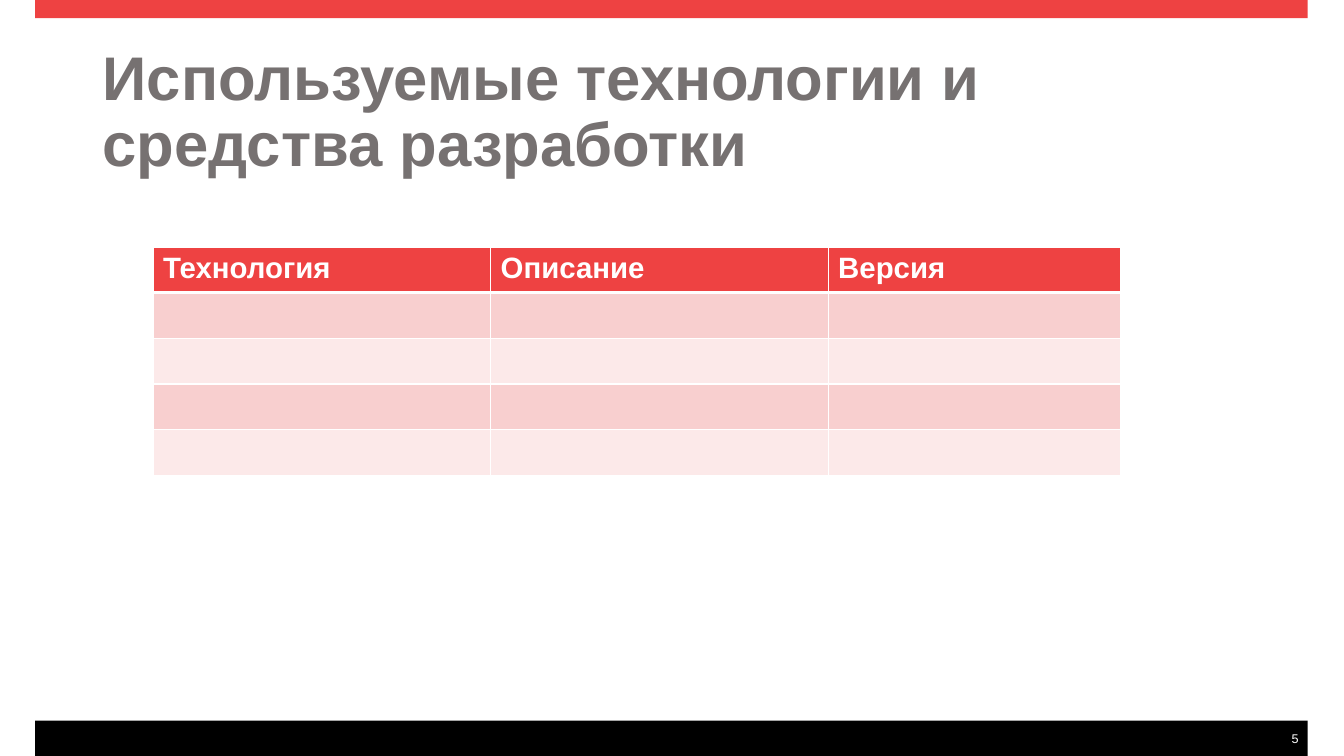
from lxml import etree
from pptx import Presentation, util as u
from pptx.dml.color import RGBColor
from pptx.enum import shapes, text
from pptx.oxml.ns import qn

TITLE = "Используемые технологии и средства разработки"
HEADERS = ["Технология", "Описание", "Версия"]
PAGE_NUMBER = "5"
BODY_ROWS = 4

COLORS = {"red": "EE4242", "black": "000000", "white": "FFFFFF",
          "grey": "767171", "band dark": "F8CFCF", "band light": "FCE9E9"}
FONT = "Arial"
WIDTH, HEIGHT = 13.34, 7.5
MARGIN, BAR_WIDTH = 0.35, 12.63

# left, top, width, height, outlined
BARS = [
    ("red", (MARGIN, 0, BAR_WIDTH, 0.18), False),
    ("black", (MARGIN, HEIGHT - 0.35, BAR_WIDTH, 0.35), False),
    ("black", (0.39, 7.21, 12.03, 0.23), True),
]
TITLE_AREA = (0.92, 0.4, 11.5, 1.45)
NUMBER_AREA = (MARGIN + BAR_WIDTH - 0.25, 7.25, 0.25, 0.15)
TABLE_LEFT, TABLE_TOP, TABLE_HEIGHT = 1.52, 2.45, 2.25
COLUMNS, HEADER_HEIGHT = [3.35, 3.35, 2.9], 0.43


def color(name):
    return RGBColor.from_string(COLORS[name])


def inches(area):
    return [u.Inches(length) for length in area]


def write(frame, words, size, tint, bold=False):
    para = frame.paragraphs[0]
    span = para.add_run()
    span.text = words
    span.font.name, span.font.size, span.font.bold = FONT, u.Pt(size), bold
    span.font.color.rgb = color(tint)
    return para


def add_bar(page, tint, area, outlined):
    bar = page.shapes.add_shape(shapes.MSO_SHAPE.RECTANGLE, *inches(area))
    bar.shadow.inherit = False
    bar.fill.solid()
    bar.fill.fore_color.rgb = color(tint)
    if outlined:
        bar.line.color.rgb = color(tint)
        bar.line.width = u.Pt(1)
    else:
        bar.line.fill.background()


def add_text(page, area, words, size, tint, bold=False):
    frame = page.shapes.add_textbox(*inches(area)).text_frame
    frame.word_wrap = True
    return frame, write(frame, words, size, tint, bold)


def style_cell(cell, tint, widths):
    """Fill a cell and give it white borders; widths maps a side to points."""
    cell.fill.solid()
    cell.fill.fore_color.rgb = color(tint)
    props = cell._tc.get_or_add_tcPr()
    for place, (side, points) in enumerate(widths.items()):
        line = etree.Element(qn(f"a:ln{side}"), w=str(u.Pt(points)))
        fill = etree.SubElement(line, qn("a:solidFill"))
        etree.SubElement(fill, qn("a:srgbClr"), val=COLORS["white"])
        props.insert(place, line)


def add_technology_table(page):
    area = (TABLE_LEFT, TABLE_TOP, sum(COLUMNS), TABLE_HEIGHT)
    table = page.shapes.add_table(BODY_ROWS + 1, len(COLUMNS), *inches(area)).table
    for column, width in zip(table.columns, COLUMNS):
        column.width = u.Inches(width)
    body_height = (TABLE_HEIGHT - HEADER_HEIGHT) / BODY_ROWS
    for index, row in enumerate(table.rows):
        row.height = u.Inches(body_height if index else HEADER_HEIGHT)
        tint = ("band dark" if index % 2 else "band light") if index else "red"
        widths = {"L": 1, "R": 1, "T": 3 if index == 1 else 1, "B": 1 if index else 3}
        for cell in row.cells:
            style_cell(cell, tint, widths)
    for cell, words in zip(table.rows[0].cells, HEADERS):
        write(cell.text_frame, words, 21, "white", bold=True)


def main():
    deck = Presentation()
    deck.slide_width, deck.slide_height = inches((WIDTH, HEIGHT))
    page = deck.slides.add_slide(deck.slide_layouts[6])

    for bar in BARS:
        add_bar(page, *bar)

    frame, para = add_text(page, NUMBER_AREA, PAGE_NUMBER, 9, "white")
    frame.margin_left = frame.margin_top = frame.margin_bottom = 0
    frame.margin_right = u.Inches(0.09)
    para.alignment = text.PP_ALIGN.RIGHT

    frame, para = add_text(page, TITLE_AREA, TITLE, 44, "grey", bold=True)
    frame.vertical_anchor = text.MSO_ANCHOR.MIDDLE
    para.line_spacing = 0.9

    add_technology_table(page)
    deck.save("out.pptx")


if __name__ == "__main__":
    main()
